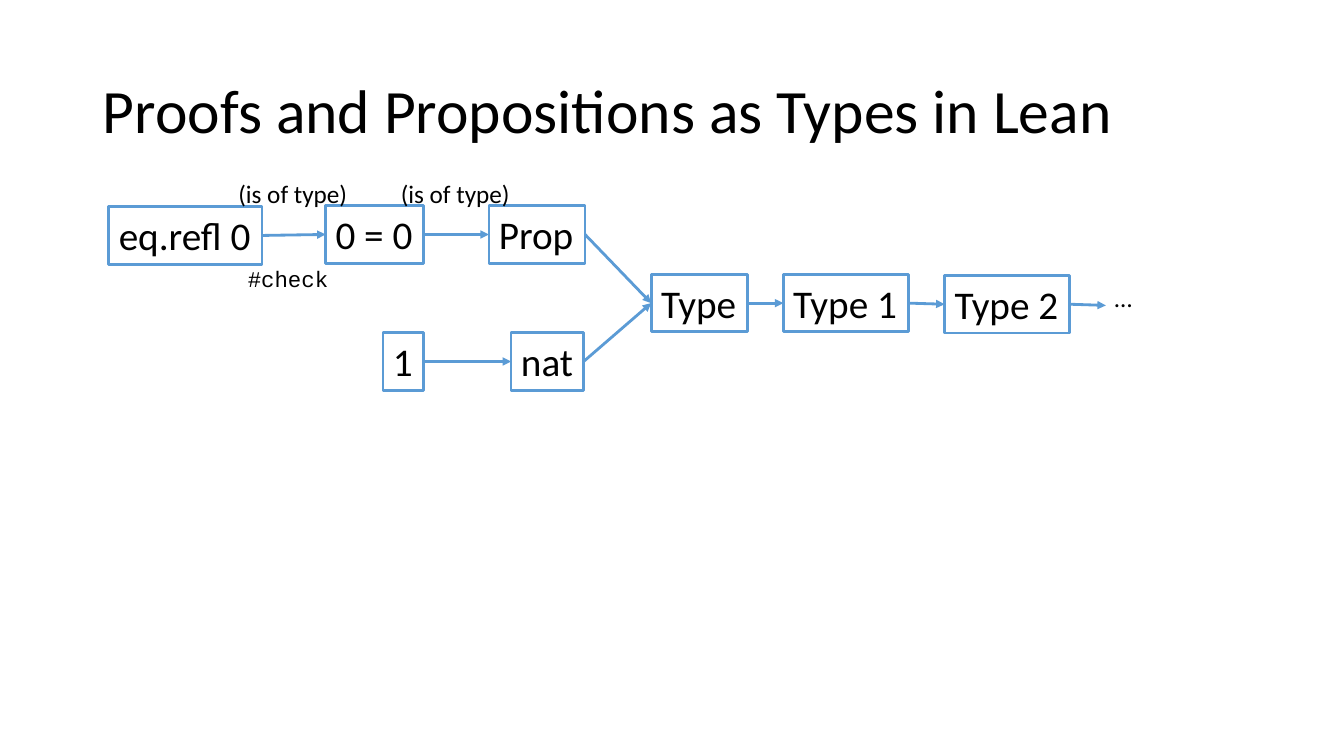
from collections import namedtuple

from lxml.etree import SubElement
from pptx import Presentation
from pptx.dml.color import RGBColor
from pptx.enum.shapes import MSO_CONNECTOR as Connector, MSO_SHAPE as Shape
from pptx.enum.text import MSO_ANCHOR as Anchor, MSO_AUTO_SIZE as AutoSize, PP_ALIGN as Align
from pptx.oxml.ns import qn
from pptx.util import Inches, Pt

WIDTH, HEIGHT = Inches(13.33), Inches(7.5)
COLUMN, ROW = WIDTH / 100, HEIGHT / 100
BLACK, BLUE = "000000", "5B9BD5"
LEFT_SITE, RIGHT_SITE = 1, 3
NODE_HEIGHT, LABEL_HEIGHT = 7.63, 5.33

Box = namedtuple("Box", "left top width height")

NODES = {
    "eq.refl 0": (0, 4.4, 11.4),
    "0 = 0": (16.13, 4.27, 7.3),
    "Prop": (28.28, 4.27, 7.15),
    "1": (20.4, 21.07, 3),
    "nat": (29.93, 21.07, 5.4),
    "Type": (40.35, 13.35, 7.15),
    "Type 1": (50.18, 13.35, 9.3),
    "Type 2": (62.18, 13.5, 9.3),
}
ARROWS = [
    ("eq.refl 0", "0 = 0"),
    ("0 = 0", "Prop"),
    ("1", "nat"),
    ("Prop", "Type"),
    ("nat", "Type"),
    ("Type", "Type 1"),
    ("Type 1", "Type 2"),
]


def color(hex_text):
    return RGBColor.from_string(hex_text)


def inside(area, left, top, width, height):
    return Box(area.left + left, area.top + top, width, height)


def emu(box):
    return (round(box.left * COLUMN), round(box.top * ROW),
            round(box.width * COLUMN), round(box.height * ROW))


def add_run(para, text, size, font="Calibri"):
    span = para.add_run()
    span.text = text
    span.font.size = Pt(size)
    span.font.name = font
    span.font.color.rgb = color(BLACK)


def fill_frame(frame, text, size, font="Calibri"):
    frame.word_wrap = False
    frame.auto_size = AutoSize.SHAPE_TO_FIT_TEXT
    frame.vertical_anchor = Anchor.TOP
    para = frame.paragraphs[0]
    para.alignment = Align.LEFT
    add_run(para, text, size, font)


def add_title(page, box, text):
    title = page.shapes.title
    title.left, title.top, title.width, title.height = emu(box)
    frame = title.text_frame
    frame.word_wrap = True
    frame.vertical_anchor = Anchor.MIDDLE
    para = frame.paragraphs[0]
    para.alignment = Align.LEFT
    para.line_spacing = 0.9
    add_run(para, text, 44)


def add_node(page, box, text):
    node = page.shapes.add_shape(Shape.RECTANGLE, *emu(box))
    node.shadow.inherit = False
    node.fill.background()
    node.line.color.rgb = color(BLUE)
    node.line.width = Pt(2)
    fill_frame(node.text_frame, text, 28)
    return node


def add_label(page, box, text, size=18, font="Calibri"):
    label = page.shapes.add_textbox(*emu(box))
    fill_frame(label.text_frame, text, size, font)


def add_arrow(page, source, end_x, end_y):
    arrow = page.shapes.add_connector(Connector.STRAIGHT, 0, 0, end_x, end_y)
    arrow.begin_connect(source, RIGHT_SITE)
    arrow.line.color.rgb = color(BLUE)
    arrow.line.width = Pt(2)
    SubElement(arrow.line._get_or_add_ln(), qn("a:tailEnd"), type="triangle")
    SubElement(arrow._element.spPr, qn("a:effectLst"))
    return arrow


def add_type_diagram(page, area):
    nodes = {
        text: add_node(page, inside(area, left, top, width, NODE_HEIGHT), text)
        for text, (left, top, width) in NODES.items()
    }
    for source, target in ARROWS:
        end = nodes[target]
        arrow = add_arrow(page, nodes[source], end.left, end.top + end.height // 2)
        arrow.end_connect(end, LEFT_SITE)

    label_width = 9.75
    for source, target in ARROWS[:2]:
        gap_start = NODES[source][0] + NODES[source][2]
        middle = (gap_start + NODES[target][0]) / 2
        add_label(page, inside(area, middle - label_width / 2, 0, label_width, LABEL_HEIGHT),
                  "(is of type)")

    tip_x, tip_y, _, _ = emu(inside(area, 74.18, 17.47, 0, 0))
    add_arrow(page, nodes["Type 2"], tip_x, tip_y)
    add_label(page, inside(area, 74.1, 13.74, 2.85, LABEL_HEIGHT), "…")
    add_label(page, inside(area, 9.6, 11.47, 7.58, 4.93), "#check", 16, "Courier New")


def main():
    deck = Presentation()
    deck.slide_width, deck.slide_height = WIDTH, HEIGHT
    page = deck.slides.add_slide(deck.slide_layouts.get_by_name("Title Only"))
    add_title(page, Box(6.9, 5.33, 86.25, 19.33), "Proofs and Propositions as Types in Lean")
    add_type_diagram(page, Box(8.1, 22.93, 77, 28.7))
    deck.save("out.pptx")


if __name__ == "__main__":
    main()
